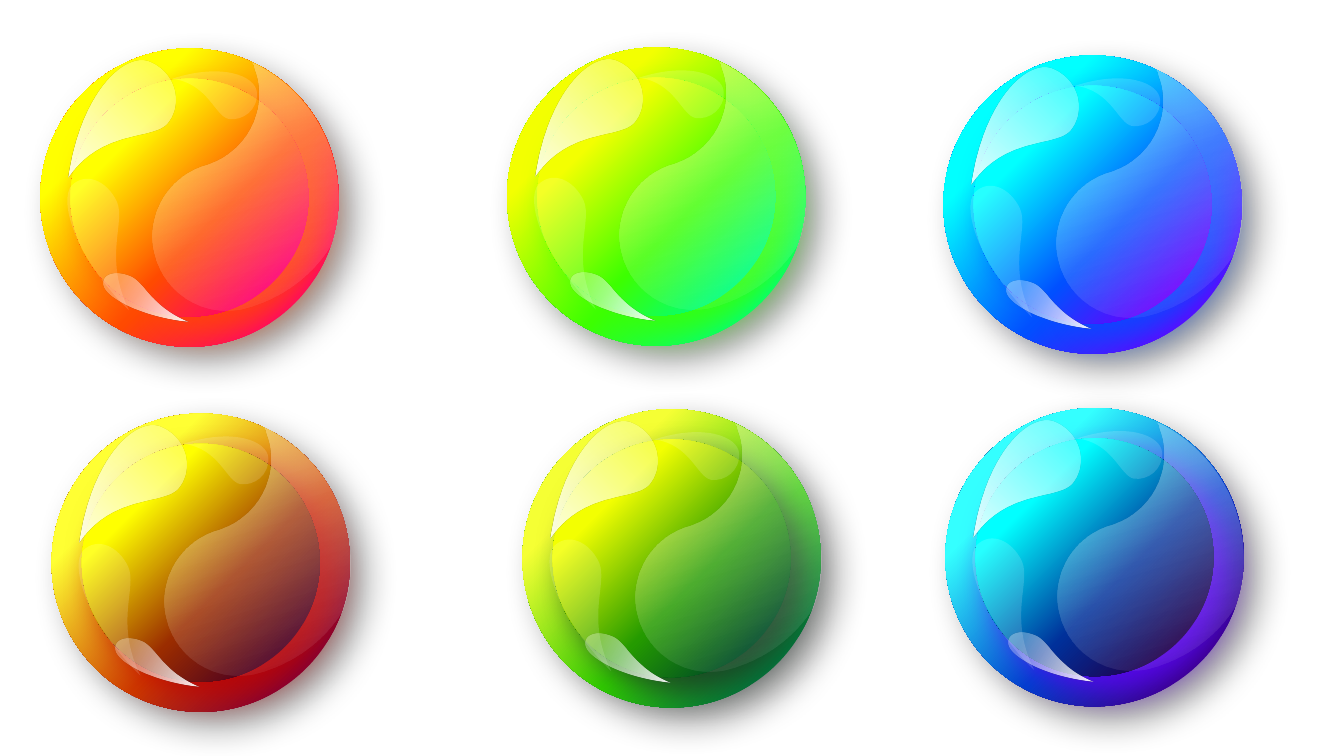
"""Build a slide of six glossy glass balls."""
from math import cos, radians, sin

from lxml.etree import SubElement as Sub
from pptx import Presentation
from pptx.enum.shapes import MSO_SHAPE as Shape
from pptx.oxml.ns import qn
from pptx.util import Pt

COLORS = {
    "white": "FFFFFF", "black": "000000",
    "orange": ("FFFF00", "FF4A01", "FF016E"),
    "lime": ("F3FF01", "3DFF01", "01FF7A"),
    "azure": ("01FFFF", "0150FF", "6801FF"),
    "green rim": ("F5FF34", "30CD00", "00803D"),
    "green core": ("F3FF01", "249A00", "004D25"),
    "red rim": ("FFFF33", "CD3B00", "800037"),
    "red core": ("FFFF00", "9A2C00", "4D0021"),
    "navy rim": ("34FFFF", "0040CD", "340080"),
    "navy core": ("01FFFF", "00309A", "1F004D"),
    "orange glow": "FF4A01", "lime glow": "3DFF01", "azure glow": "0150FF",
    "green glow": "1E2F26", "red glow": "C00000", "navy glow": "6801FF",
}
BALLS = [
    (28.8, 34.6, "orange", "orange", "orange glow"),
    (362.2, 33.9, "lime", "lime", "lime glow"),
    (673.9, 39.6, "azure", "azure", "azure glow"),
    (373.2, 292.3, "green rim", "green core", "green glow"),
    (36.9, 295.4, "red rim", "red core", "red glow"),
    (675.3, 291.5, "navy rim", "navy core", "navy glow"),
]
UNIT = 0.72
RIM, CORE = 296, 236
SWIRL = [
    ("M", 210, 14), ("L", 215, 16), ("C", 261, 40, 294, 87, 296, 144),
    ("C", 297, 159, 295, 174, 291, 188), ("L", 288, 197), ("L", 287, 198),
    ("C", 269, 226, 241, 247, 207, 257), ("C", 168, 269, 127, 247, 115, 208),
    ("C", 103, 169, 125, 128, 164, 116), ("C", 204, 104, 226, 63, 214, 24),
    ("C", 213, 21, 212, 19, 212, 17)]
GLOSS = [
    ("M", 127, 73), ("C", 114, 92, 62, 78, 28, 128),
    ("C", 40, 44, 84, 3, 109, 14), ("C", 134, 25, 141, 54, 127, 73)]
TOP_GLINT = [
    ("M", 187, 70), ("C", 173, 67, 167, 35, 131, 30),
    ("C", 180, 14, 214, 27, 215, 44), ("C", 216, 61, 201, 72, 187, 70)]
SIDE_GLINT = [
    ("M", 76, 152), ("C", 85, 173, 62, 207, 88, 260),
    ("C", 34, 207, 18, 151, 31, 136), ("C", 45, 122, 66, 131, 76, 152)]
DROP = [
    ("M", 90, 226), ("C", 104, 232, 110, 256, 147, 271),
    ("C", 98, 266, 64, 246, 63, 234), ("C", 62, 223, 76, 220, 90, 226)]
HIGHLIGHTS = [
    (SWIRL, (99, 23, 197, 232), 343.3, [(0, 0), (70, 30)]),
    (GLOSS, (39, 5, 72, 141), 223.6, [(19, 30), (85, 90)]),
    (TOP_GLINT, (150, -2, 44, 86), 288, 15),
    (SIDE_GLINT, (39, 126, 50, 138), 161.3, 15),
    (DROP, (92, 203, 27, 94), 118.4, [(20, 30), (85, 90)]),
]
COMMANDS = {"M": "a:moveTo", "L": "a:lnTo", "C": "a:cubicBezTo"}


def add_color(parent, color, alpha=100):
    clr = Sub(parent, qn("a:srgbClr"), val=color)
    if alpha < 100:
        Sub(clr, qn("a:alpha"), val=str(alpha * 1000))


def add_gradient(sp, stops):
    grad = Sub(sp._element.spPr, qn("a:gradFill"), rotWithShape="1")
    gs_list = Sub(grad, qn("a:gsLst"))
    for pos, color, alpha in stops:
        gs = Sub(gs_list, qn("a:gs"), pos=str(pos * 1000))
        add_color(gs, color, alpha)
    return grad


def add_shadow(sp, color, alpha):
    shadow = Sub(sp._element.spPr.find(qn("a:effectLst")), qn("a:outerShdw"),
                 blurRad=str(Pt(25)), dist=str(Pt(15)), dir="2700000",
                 algn="tl", rotWithShape="0")
    add_color(shadow, color, alpha)


def finish(sp):
    sp.line.fill.background()
    sp.shadow.inherit = False


def add_disc(shapes, x, y, size, colors, glow, alpha):
    sp = shapes.add_shape(Shape.OVAL, Pt(x), Pt(y), Pt(size), Pt(size))
    grad = add_gradient(sp, [(pos, color, 100) for pos, color in zip((25, 60, 85), colors)])
    circle = Sub(grad, qn("a:path"), path="circle")
    Sub(circle, qn("a:fillToRect"), r="100000", b="100000")
    finish(sp)
    add_shadow(sp, glow, alpha)


def unrotate(x, y, frame, angle):
    left, top, width, height = frame
    dx, dy = x - left - width / 2, y - top - height / 2
    c, s = cos(radians(angle)), sin(radians(angle))
    return dx * c + dy * s + width / 2, dy * c - dx * s + height / 2


def add_highlight(shapes, x, y, outline, frame, angle, alpha):
    left, top, width, height = (v * UNIT for v in frame)
    builder = shapes.build_freeform(0, 0)
    builder.add_line_segments([(Pt(width), Pt(height))])
    sp = builder.convert_to_shape(Pt(x + left), Pt(y + top))
    sp.rotation = angle
    path = next(sp._element.iter(qn("a:path")))
    for child in list(path):
        path.remove(child)
    for command, *coords in outline:
        step = Sub(path, qn(COMMANDS[command]))
        for px, py in zip(coords[::2], coords[1::2]):
            px, py = unrotate(px, py, frame, angle)
            Sub(step, qn("a:pt"), x=str(Pt(px * UNIT)), y=str(Pt(py * UNIT)))
    Sub(path, qn("a:close"))
    if isinstance(alpha, list):
        grad = add_gradient(sp, [(pos, COLORS["white"], a) for pos, a in alpha])
        Sub(grad, qn("a:lin"), ang="16200000", scaled="0")
    else:
        add_color(Sub(sp._element.spPr, qn("a:solidFill")), COLORS["white"], alpha)
    finish(sp)


def add_ball(s, x, y, rim, core, glow):
    shapes = s.shapes.add_group_shape().shapes
    inset = (RIM - CORE) / 2 * UNIT
    add_disc(shapes, x, y, RIM * UNIT, COLORS[rim], COLORS["black"], 40)
    add_disc(shapes, x + inset, y + inset, CORE * UNIT, COLORS[core], COLORS[glow], 80)
    for highlight in HIGHLIGHTS:
        add_highlight(shapes, x, y, *highlight)


def main():
    prs = Presentation()
    prs.slide_width, prs.slide_height = Pt(960), Pt(540)
    s = prs.slides.add_slide(prs.slide_layouts[6])
    for ball in BALLS:
        add_ball(s, *ball)
    prs.save("out.pptx")


if __name__ == "__main__":
    main()
